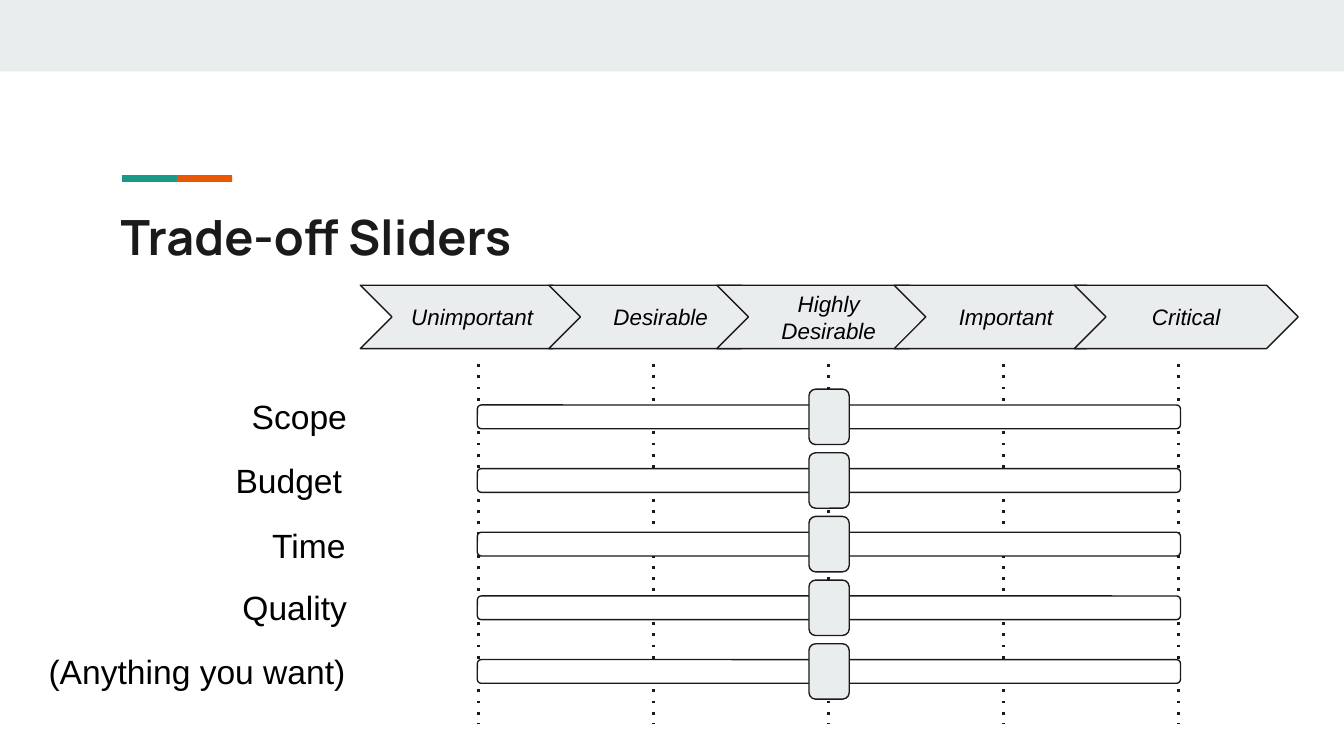
from dataclasses import dataclass

from lxml import etree
from pptx import Presentation
from pptx import util as u
from pptx.dml.color import RGBColor
from pptx.enum import shapes, text
from pptx.oxml.ns import qn
from pptx.shapes.base import BaseShape
from pptx.slide import Slide


@dataclass(frozen=True)
class Theme:
    ink: str = "1A1A1A"
    black: str = "000000"
    white: str = "FFFFFF"
    mist: str = "E9EDEE"
    teal: str = "1A9988"
    orange: str = "EB5600"
    heading_font: str = "Manrope"
    body_font: str = "Arial"
    heading_size: float = 26
    label_size: float = 18
    level_size: float = 12
    outline: float = 0.75
    guide: float = 1.5
    inset: float = 7.2


@dataclass(frozen=True)
class Box:
    left: float
    top: float
    width: float
    height: float

    def lengths(self) -> tuple:
        return tuple(u.Pt(n) for n in (self.left, self.top, self.width, self.height))


@dataclass(frozen=True)
class Level:
    name: str
    left: float


@dataclass(frozen=True)
class Factor:
    name: str
    top: float
    right: float


THEME = Theme()
LEVELS = [
    Level("Unimportant", 193),
    Level("Desirable", 294),
    Level("Highly Desirable", 384),
    Level("Important", 479),
    Level("Critical", 575.5),
]
FACTORS = [
    Factor("Scope", 205, 193),
    Factor("Budget", 239, 190.3),
    Factor("Time", 274, 192.2),
    Factor("Quality", 307, 193),
    Factor("(Anything you want)", 341.3, 192.2),
]
GUIDE_LEFT, GUIDE_STEP, GUIDE_TOP, GUIDE_BOTTOM = 256.4, 93.7, 195.1, 388
TRACK_TOP, KNOB_TOP, ROW_STEP = 217, 208.5, 34.1
SHAPE = shapes.MSO_SHAPE


def write(shape: BaseShape, words: str, *, size: float, font: str = THEME.body_font,
          color: str = THEME.black, bold: bool = False, italic: bool = False,
          align=text.PP_ALIGN.LEFT, anchor=text.MSO_ANCHOR.TOP) -> None:
    frame = shape.text_frame
    frame.word_wrap = True
    frame.auto_size = text.MSO_AUTO_SIZE.NONE
    frame.vertical_anchor = anchor
    frame.margin_left = frame.margin_right = u.Pt(THEME.inset)
    frame.margin_top = frame.margin_bottom = u.Pt(THEME.inset)
    paragraph = frame.paragraphs[0]
    paragraph.alignment = align
    run = paragraph.add_run()
    run.text = words
    run.font.name = font
    run.font.size = u.Pt(size)
    run.font.bold = bold
    run.font.italic = italic
    run.font.color.rgb = RGBColor.from_string(color)


def draw_shape(slide: Slide, kind: SHAPE, box: Box, fill: str,
               outlined: bool = True) -> BaseShape:
    shape = slide.shapes.add_shape(kind, *box.lengths())
    shape.shadow.inherit = False
    shape.fill.solid()
    shape.fill.fore_color.rgb = RGBColor.from_string(fill)
    if outlined:
        shape.line.color.rgb = RGBColor.from_string(THEME.ink)
        shape.line.width = u.Pt(THEME.outline)
    else:
        shape.line.fill.background()
    return shape


def draw_guide(slide: Slide, x: float) -> None:
    guide = slide.shapes.add_connector(
        shapes.MSO_CONNECTOR.STRAIGHT,
        u.Pt(x), u.Pt(GUIDE_TOP), u.Pt(x), u.Pt(GUIDE_BOTTOM))
    guide.line.color.rgb = RGBColor.from_string(THEME.ink)
    guide.line.width = u.Pt(THEME.guide)
    properties = guide._element.spPr
    dash = etree.SubElement(properties.find(qn("a:ln")), qn("a:prstDash"))
    dash.set("val", "dot")
    etree.SubElement(properties, qn("a:effectLst"))


def draw_level(slide: Slide, level: Level) -> None:
    chevron = draw_shape(slide, SHAPE.CHEVRON, Box(level.left, 152.8, 120, 34), THEME.mist)
    write(chevron, level.name, size=THEME.level_size, italic=True,
          align=text.PP_ALIGN.CENTER, anchor=text.MSO_ANCHOR.MIDDLE)


def draw_factor(slide: Slide, factor: Factor, row: int) -> None:
    offset = row * ROW_STEP
    draw_shape(slide, SHAPE.ROUNDED_RECTANGLE,
               Box(255.7, TRACK_TOP + offset, 376.7, 12.7), THEME.white)
    label = slide.shapes.add_textbox(
        *Box(13, factor.top, factor.right - 13, 42.5).lengths())
    write(label, factor.name, size=THEME.label_size, align=text.PP_ALIGN.RIGHT)
    draw_shape(slide, SHAPE.ROUNDED_RECTANGLE,
               Box(433.4, KNOB_TOP + offset, 21.6, 29.7), THEME.mist)


def main() -> None:
    deck = Presentation()
    deck.slide_width, deck.slide_height = u.Pt(720), u.Pt(405)
    slide = deck.slides.add_slide(deck.slide_layouts[5])

    heading = slide.shapes.title
    heading.left, heading.top, heading.width, heading.height = Box(
        57.4, 103.7, 605.5, 42.5).lengths()
    write(heading, "Trade-off Sliders", size=THEME.heading_size,
          font=THEME.heading_font, color=THEME.ink, bold=True)

    draw_shape(slide, SHAPE.RECTANGLE, Box(0, 0, 720, 38.3), THEME.mist, outlined=False)
    for left, color in ((65.4, THEME.teal), (94.9, THEME.orange)):
        draw_shape(slide, SHAPE.RECTANGLE, Box(left, 93.8, 29.5, 3.6), color, outlined=False)

    for column in range(len(LEVELS)):
        draw_guide(slide, GUIDE_LEFT + column * GUIDE_STEP)
    for level in LEVELS:
        draw_level(slide, level)
    for row, factor in enumerate(FACTORS):
        draw_factor(slide, factor, row)

    deck.save("out.pptx")


if __name__ == "__main__":
    main()
